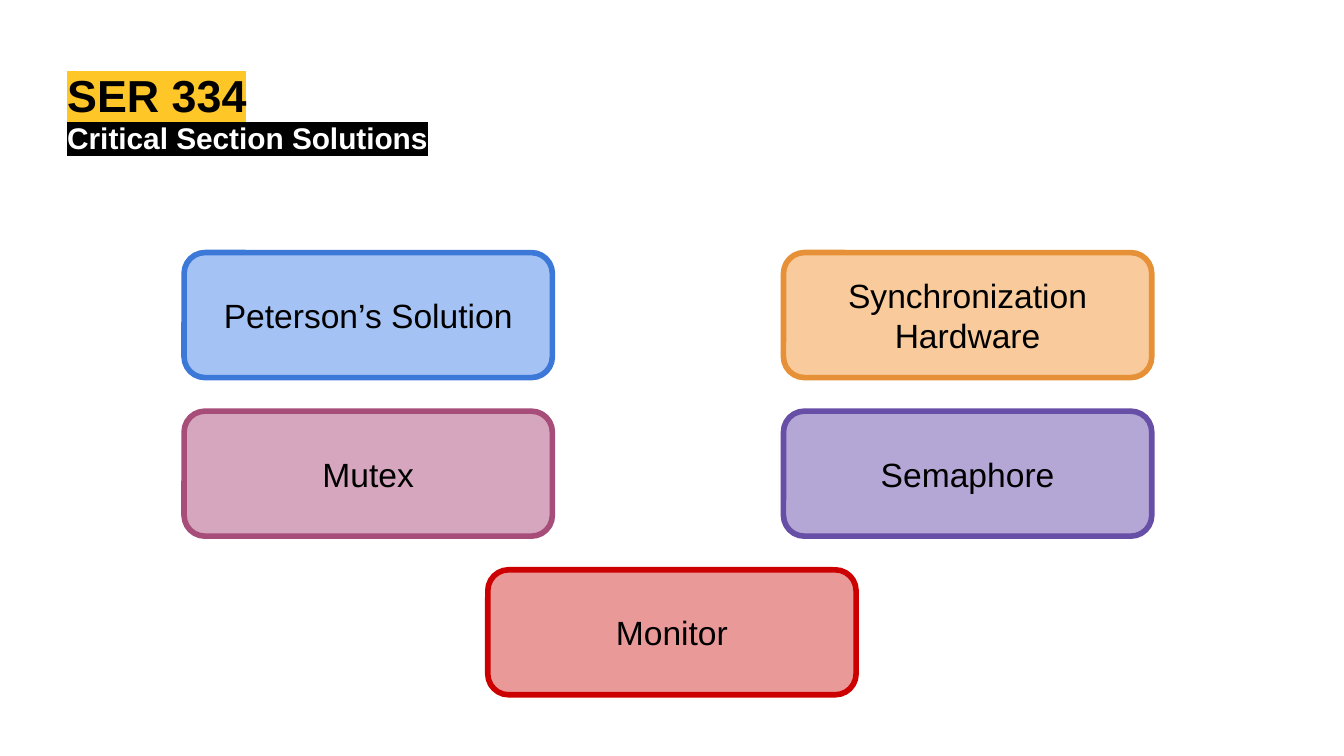
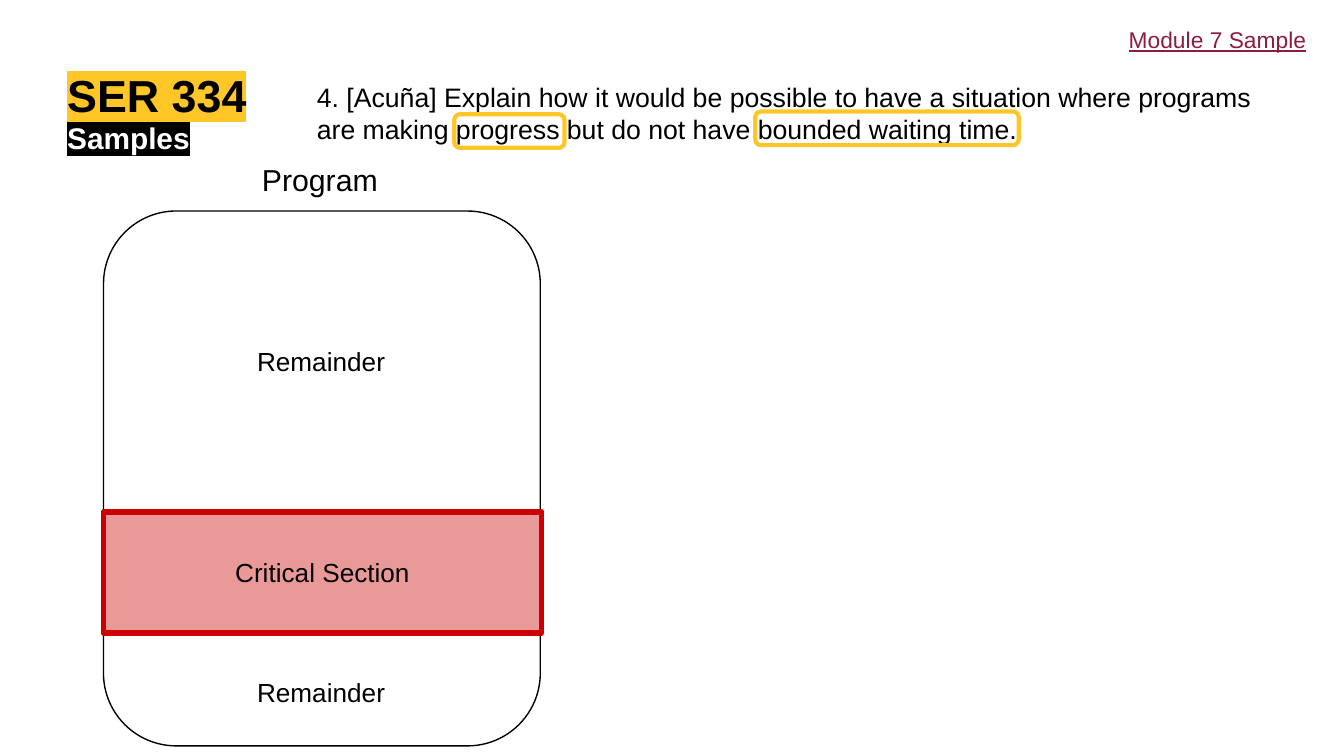
from lxml.etree import SubElement
from pptx import Presentation
from pptx.dml.color import RGBColor
from pptx.enum.shapes import MSO_SHAPE as Preset
from pptx.enum.text import MSO_ANCHOR as Anchor, PP_ALIGN as Align
from pptx.oxml.ns import qn
from pptx.util import Inches, Pt

# Shared palette
BLACK, WHITE = "000000", "FFFFFF"
GOLD, MAROON = "FFC627", "8C1D40"
PINK, RED = "EA9999", "CC0000"

# Widescreen page
PAGE_WIDTH = Inches(10)
PAGE_HEIGHT = PAGE_WIDTH * 9 // 16


def color(hex_text):
    return RGBColor.from_string(hex_text)


def apply(target, values):
    for name, value in values.items():
        setattr(target, name, value)


# Text
def write(element, text, size, ink=BLACK, highlight=None, inset=0.1,
          align=Align.LEFT, anchor=Anchor.TOP, **font_format):
    frame = element.text_frame
    sides = ("left", "top", "right", "bottom")
    apply(frame, {f"margin_{side}": Inches(inset) for side in sides})
    apply(frame, {"word_wrap": True, "vertical_anchor": anchor})
    para = frame.paragraphs[0]
    para.alignment = align
    span = para.add_run()
    span.text = text
    apply(span.font, {"name": "Arial", "size": Pt(size), **font_format})
    span.font.color.rgb = color(ink)
    if highlight:
        mark = SubElement(span.font._element, qn("a:highlight"))
        SubElement(mark, qn("a:srgbClr"), val=highlight)
        span.font._element.find(qn("a:solidFill")).addnext(mark)


def add_text(page, place, text, size, **style):
    box = page.shapes.add_textbox(*map(Inches, place))
    write(box, text, size, **style)


# Boxes, with or without a fill, an outline and a centred label
def add_box(page, place, fill=None, line=None, width=3, text=None, size=14,
            preset=Preset.ROUNDED_RECTANGLE):
    box = page.shapes.add_shape(preset, *map(Inches, place))
    box.shadow.inherit = False
    if fill:
        box.fill.solid()
        box.fill.fore_color.rgb = color(fill)
    else:
        box.fill.background()
    if line:
        box.line.color.rgb = color(line)
        box.line.width = Pt(width)
    else:
        box.line.fill.background()
    if text:
        write(box, text, size, align=Align.CENTER, anchor=Anchor.MIDDLE)


# Page with the course heading
def add_page(deck, subtitle):
    page = deck.slides.add_slide(deck.slide_layouts[6])
    add_text(page, (0.5, 0.5, 4.85, 0.39), "SER 334", 24,
             highlight=GOLD, inset=0, bold=True)
    add_text(page, (0.5, 0.89, 6.51, 0.29), subtitle, 16, ink=WHITE,
             highlight=BLACK, inset=0, bold=True)
    return page


def build_solutions(deck):
    page = add_page(deck, "Critical Section Solutions")
    left, middle, right = 1.37, 3.63, 5.83
    top, row_step = 1.88, 1.18
    solutions = [
        (left, 0, "Peterson’s Solution", "A4C2F4", "3C78D8"),
        (right, 0, "Synchronization Hardware", "F9CB9C", "E69138"),
        (left, 1, "Mutex", "D5A6BD", "A64D79"),
        (right, 1, "Semaphore", "B4A7D6", "674EA7"),
        (middle, 2, "Monitor", PINK, RED),
    ]
    for x, row, name, fill, line in solutions:
        add_box(page, (x, top + row * row_step, 2.74, 0.93), fill, line,
                text=name, size=18)


def build_sample(deck):
    page = add_page(deck, "Samples")
    add_text(page, (2.26, 0.5, 7.37, 0.68),
             "4. [Acuña] Explain how it would be possible to have a situation "
             "where programs are making progress but do not have bounded "
             "waiting time.", 14.3)

    # Program diagram
    add_box(page, (0.77, 1.57, 3.25, 3.98), WHITE, BLACK, 0.75)
    add_text(page, (1.85, 1.1, 1.09, 0.46), "Program", 16.2)
    add_box(page, (0.77, 3.81, 3.26, 0.9), PINK, RED,
            text="Critical Section", preset=Preset.RECTANGLE)
    for top in (2.4, 4.86):
        add_box(page, (1.41, top, 1.96, 0.58), WHITE, text="Remainder")

    # Frames around the key terms of the question
    for left, top, width in ((3.38, 0.85, 0.82), (5.62, 0.83, 1.96)):
        add_box(page, (left, top, width, 0.25), line=GOLD, width=2.25)

    add_text(page, (8.3, 0.09, 1.53, 0.41), "Module 7 Sample", 12.2,
             ink=MAROON, underline=True)


def main():
    deck = Presentation()
    apply(deck, {"slide_width": PAGE_WIDTH, "slide_height": PAGE_HEIGHT})
    build_solutions(deck)
    build_sample(deck)
    deck.save("out.pptx")


if __name__ == "__main__":
    main()
